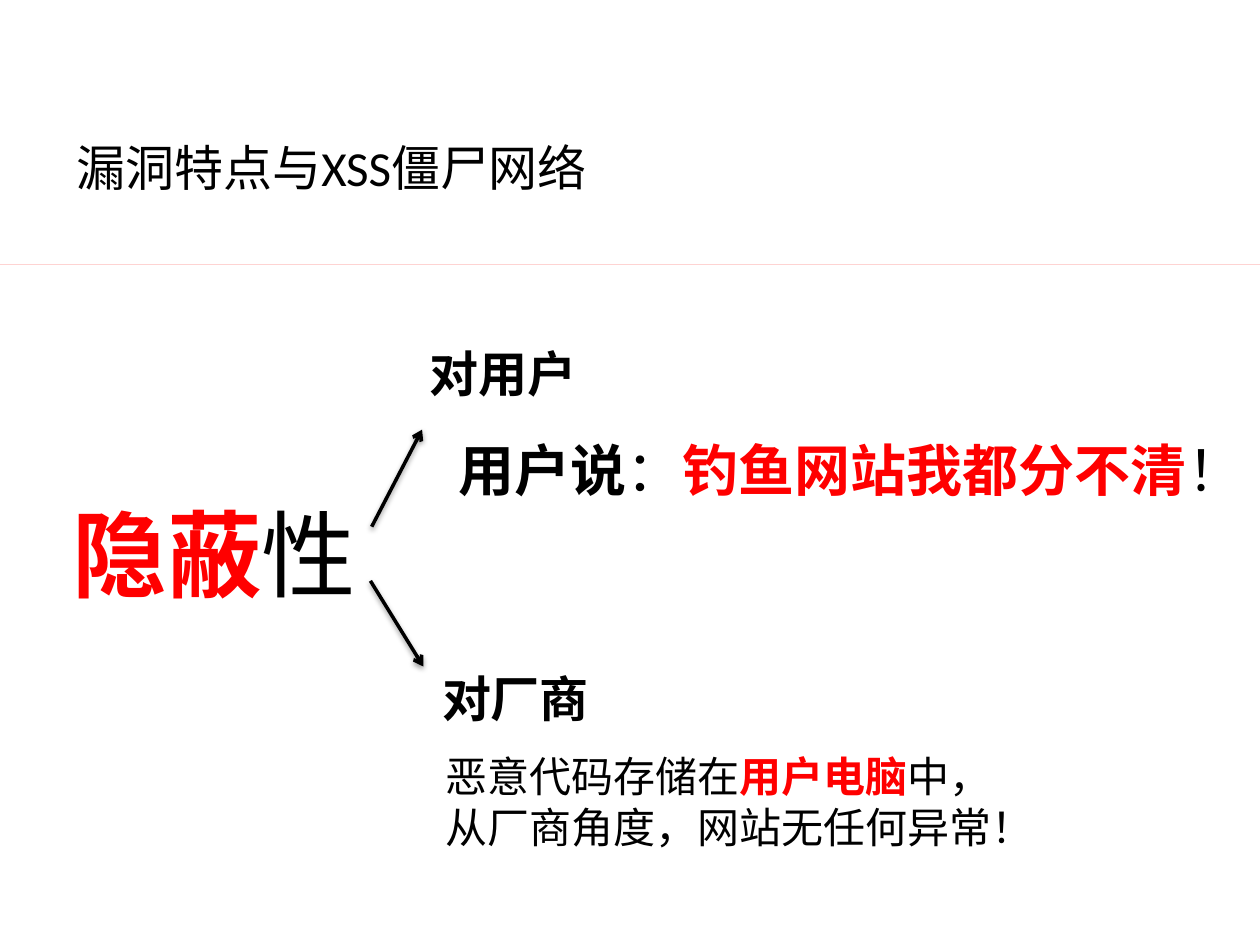
import pptx
import pptx.util
import pptx.dml.color
import pptx.enum.shapes
import pptx.enum.text
import pptx.oxml

Pt = pptx.util.Pt

THEME = {
    "font": "Calibri",
    "ink": "000000", "hot": "FF0000", "rule": "FED3D2",
    "huge": 54, "large": 32, "head": 28, "body": 24,
}

# Run styles: colour name, bold
PLAIN, BOLD, HOT = ("ink", False), ("ink", True), ("hot", True)

# Box (left, top, width, height), size name, paragraphs of (text, style) runs
TEXTS = [
    ((36.72, 74.88, 309.6, 41), "head", [[("漏洞特点与XSS僵尸网络", PLAIN)]]),
    ((34.56, 280.08, 177.84, 72.7), "huge", [[("隐蔽", HOT), ("性", PLAIN)]]),
    ((254.88, 245.52, 466.56, 46), "large",
     [[("用户说", BOLD), ("：", PLAIN), ("钓鱼网站我都分不清", HOT), ("！", PLAIN)]]),
    ((238.32, 192.96, 99.36, 41), "head", [[("对用户", BOLD)]]),
    ((245.52, 378.72, 99.36, 41), "head", [[("对厂商", BOLD)]]),
    ((247.68, 425.52, 353.52, 65.5), "body",
     [[("恶意代码存储在", PLAIN), ("用户电脑", HOT), ("中，", PLAIN)],
      [("从厂商角度，网站无任何异常！", PLAIN)]]),
]

RULE = (-8.64, 151.2, 740.16, 151.2)
ARROWS = [(212.4, 300.96, 241.2, 245.52), (211.68, 331.92, 241.92, 380.88)]

NS = 'xmlns:a="http://schemas.openxmlformats.org/drawingml/2006/main"'
HEAD = f'<a:tailEnd {NS} type="arrow"/>'
FLAT = f'<a:effectLst {NS}/>'
SHADE = (f'<a:effectLst {NS}><a:outerShdw blurRad="{Pt(3.1)}" dist="{Pt(1.6)}" '
         f'dir="5400000" rotWithShape="0"><a:srgbClr val="{THEME["ink"]}">'
         '<a:alpha val="38000"/></a:srgbClr></a:outerShdw></a:effectLst>')


def color(name):
    return pptx.dml.color.RGBColor.from_string(THEME[name])


def add_text(slide, box, size, paras):
    frame = slide.shapes.add_textbox(*map(Pt, box)).text_frame
    frame.word_wrap = True
    frame.auto_size = pptx.enum.text.MSO_AUTO_SIZE.NONE
    for i, runs in enumerate(paras):
        para = frame.add_paragraph() if i else frame.paragraphs[0]
        for text, (tint, bold) in runs:
            run = para.add_run()
            run.text = text
            font = run.font
            font.name, font.size, font.bold = THEME["font"], Pt(THEME[size]), bold
            font.color.rgb = color(tint)


def add_line(slide, ends, tint, width, arrow=False):
    kind = pptx.enum.shapes.MSO_CONNECTOR.STRAIGHT
    line = slide.shapes.add_connector(kind, *map(Pt, ends))
    line.line.color.rgb = color(tint)
    line.line.width = Pt(width)
    props = line._element.spPr
    if arrow:
        line.line._ln.append(pptx.oxml.parse_xml(HEAD))
    props.append(pptx.oxml.parse_xml(SHADE if arrow else FLAT))


def main():
    deck = pptx.Presentation()
    deck.slide_width, deck.slide_height = Pt(720), Pt(540)
    slide = deck.slides.add_slide(deck.slide_layouts[6])
    add_line(slide, RULE, "rule", 0.75)
    for item in TEXTS:
        add_text(slide, *item)
    for ends in ARROWS:
        add_line(slide, ends, "ink", 2, arrow=True)
    deck.save("out.pptx")


if __name__ == "__main__":
    main()
